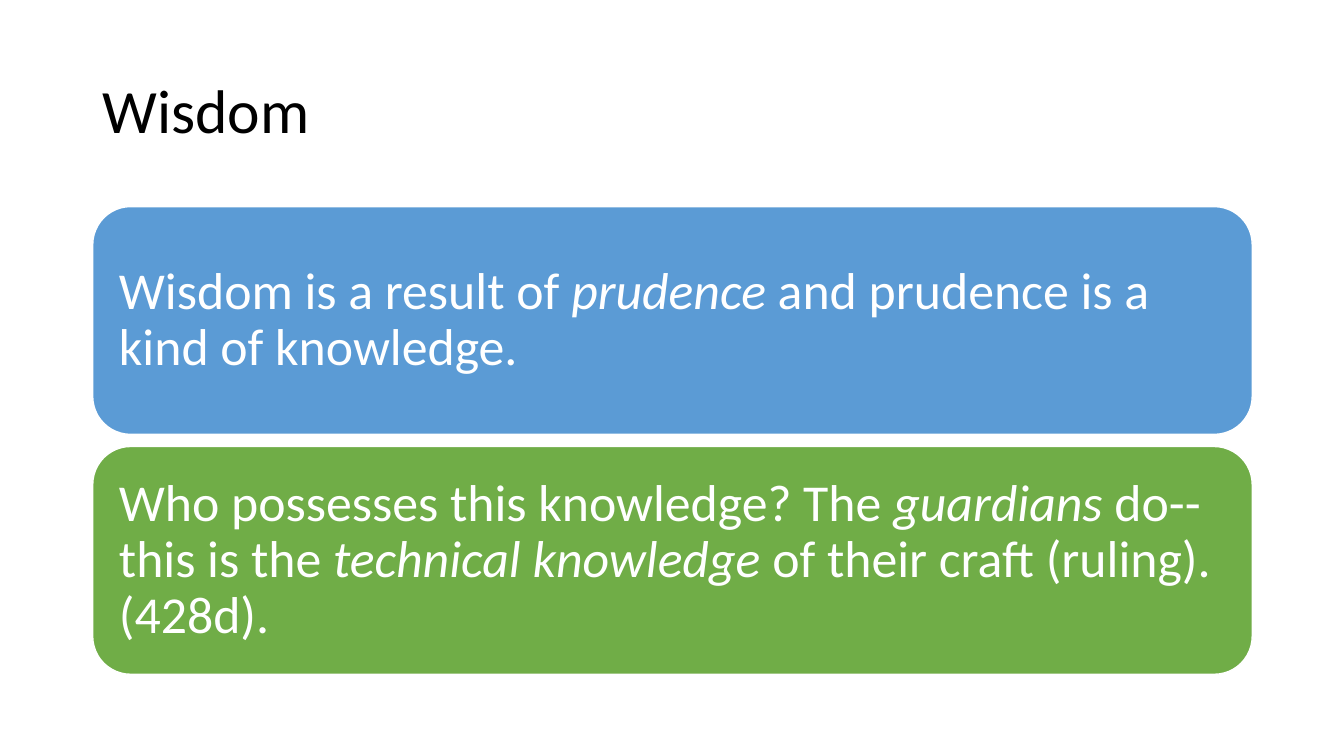
import pptx
import pptx.dml.color
import pptx.enum.shapes
import pptx.enum.text
import pptx.util
from dataclasses import dataclass

Inches = pptx.util.Inches


@dataclass(frozen=True)
class Theme:
    font: str = "Calibri"
    title_size: int = 44
    body_size: int = 37
    dark: str = "000000"
    light: str = "FFFFFF"
    blue: str = "5B9BD5"
    green: str = "70AD47"


def rgb(code):
    return pptx.dml.color.RGBColor.from_string(code)


def write_text(frame, spans, *, font, size, color, inset_x=0.1, inset_y=0.05):
    """Fill a frame with one paragraph of (text, italic) spans."""
    frame.word_wrap = True
    frame.vertical_anchor = pptx.enum.text.MSO_ANCHOR.MIDDLE
    frame.margin_left = frame.margin_right = Inches(inset_x)
    frame.margin_top = frame.margin_bottom = Inches(inset_y)
    para = frame.paragraphs[0]
    para.alignment = pptx.enum.text.PP_ALIGN.LEFT
    para.line_spacing = 0.9
    for text, italic in spans:
        span = para.add_run()
        span.text = text
        span.font.name = font
        span.font.size = pptx.util.Pt(size)
        span.font.italic = italic
        span.font.color.rgb = rgb(color)


class SlideBuilder:
    def __init__(self, page, theme):
        self.page = page
        self.theme = theme

    def title(self, text, left, top, width, height):
        box = self.page.shapes.add_textbox(
            Inches(left), Inches(top), Inches(width), Inches(height))
        write_text(box.text_frame, [(text, False)], font=self.theme.font,
                   size=self.theme.title_size, color=self.theme.dark)

    def panel(self, spans, fill, left, top, width, height):
        panel = self.page.shapes.add_shape(
            pptx.enum.shapes.MSO_SHAPE.ROUNDED_RECTANGLE,
            Inches(left), Inches(top), Inches(width), Inches(height))
        panel.shadow.inherit = False
        panel.fill.solid()
        panel.fill.fore_color.rgb = rgb(fill)
        panel.line.color.rgb = rgb(self.theme.light)
        panel.line.width = pptx.util.Pt(1)
        write_text(panel.text_frame, spans, font=self.theme.font,
                   size=self.theme.body_size, color=self.theme.light,
                   inset_x=0.15, inset_y=0.15)


def main():
    deck = pptx.Presentation()
    deck.slide_width, deck.slide_height = Inches(13.33), Inches(7.5)
    theme = Theme()
    builder = SlideBuilder(deck.slides.add_slide(deck.slide_layouts[6]), theme)
    left, width = 0.92, 11.5

    # Title
    builder.title("Wisdom", left, 0.4, width, 1.45)

    # Stacked statement panels
    statements = [
        (theme.blue, [("Wisdom is a result of ", False), ("prudence", True),
                      (" and prudence is a kind of knowledge.", False)]),
        (theme.green, [("Who possesses this knowledge? The ", False),
                       ("guardians ", True), ("do-- this is the ", False),
                       ("technical knowledge ", True),
                       ("of their craft (ruling). (428d).", False)]),
    ]
    first_top, height, gap = 2.05, 2.26, 0.12
    for index, (fill, spans) in enumerate(statements):
        top = first_top + index * (height + gap)
        builder.panel(spans, fill, left, top, width, height)

    deck.save("out.pptx")


if __name__ == "__main__":
    main()
